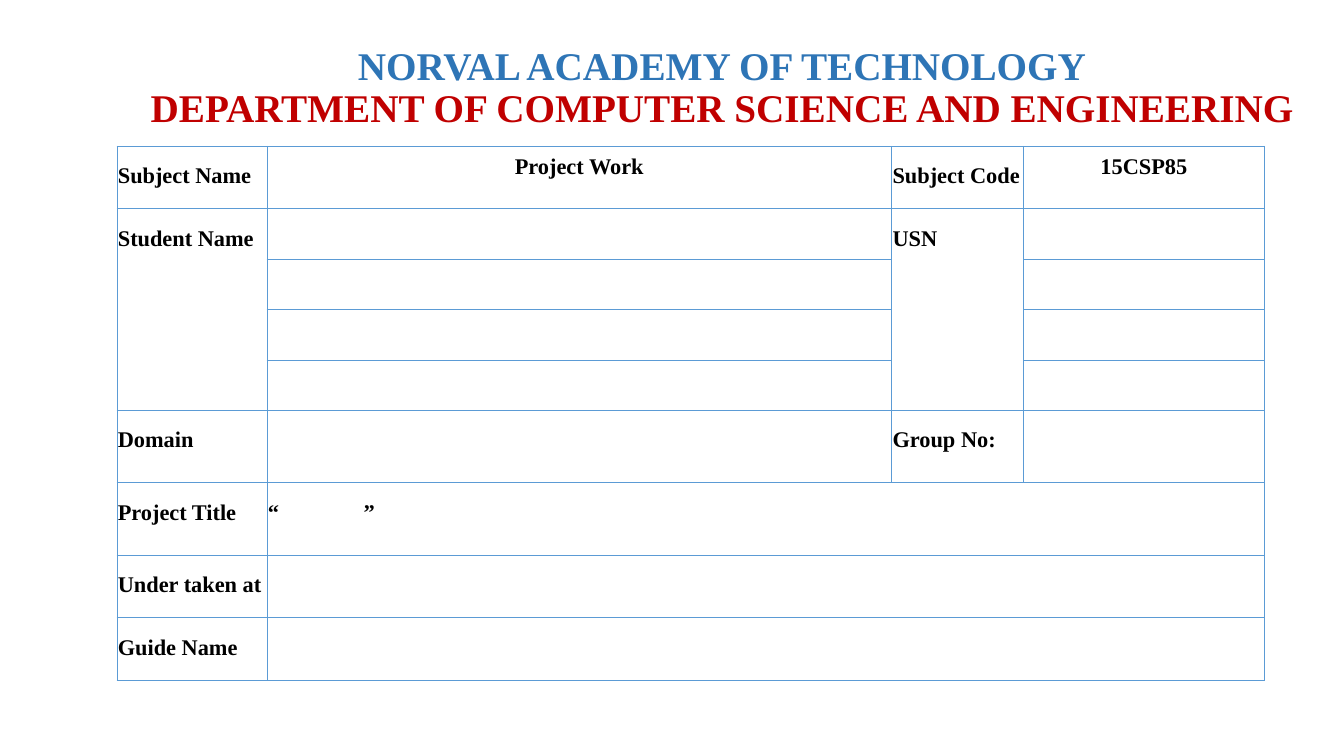
from dataclasses import dataclass
from typing import Any

from lxml.etree import SubElement as Sub
from pptx import Presentation as Deck
from pptx.dml.color import RGBColor as Color
from pptx.enum.text import MSO_ANCHOR as Anchor, PP_ALIGN as Align
from pptx.oxml.ns import qn
from pptx.util import Inches, Pt

STEP = Inches(0.1)
BLUE = Color(0x2E, 0x75, 0xB6)
RED = Color(0xC0, 0x00, 0x00)
BLACK = Color(0x00, 0x00, 0x00)
RULE = Color(0x5B, 0x9B, 0xD5)

COLS = (14.9, 62, 13.1, 23.9)
ROWS = (6.2, 5, 5, 5, 5, 7.2, 7.2, 6.2, 6.2)
LEFT = 11.6
GAP = 9.5

CELL = {"margin_left": Inches(0.01), "margin_right": Inches(0.01),
        "margin_top": Inches(0.05), "margin_bottom": Inches(0.05)}
LABEL = {"alignment": Align.LEFT, "line_spacing": 1.5, "space_after": Pt(10)}
VALUE = {"alignment": Align.CENTER, "line_spacing": 1.15, "space_after": Pt(10)}
QUOTE = LABEL | {"alignment": Align.JUSTIFY}
HEAD = {"alignment": Align.CENTER, "line_spacing": 0.9}


@dataclass
class Entry:
    row: int
    col: int
    text: str
    form: dict[str, Any]
    down: int = 1


@dataclass
class Line:
    text: str
    color: Color


ENTRIES = (
    Entry(0, 0, "Subject Name", LABEL),
    Entry(0, 1, "Project Work", VALUE),
    Entry(0, 2, "Subject Code", LABEL),
    Entry(0, 3, "15CSP85", VALUE),
    Entry(1, 0, "Student Name", LABEL, down=4),
    Entry(1, 2, "USN", LABEL, down=4),
    Entry(5, 0, "Domain", LABEL),
    Entry(5, 2, "Group No:", LABEL),
    Entry(6, 0, "Project Title", LABEL),
    Entry(6, 1, "“\t”", QUOTE),
    Entry(7, 0, "Under taken at", LABEL),
    Entry(8, 0, "Guide Name", LABEL),
)
WIDE = (6, 7, 8)
LINES = (
    Line("NORVAL ACADEMY OF TECHNOLOGY", BLUE),
    Line("DEPARTMENT OF COMPUTER SCIENCE AND ENGINEERING", RED),
)


def grid(steps: float) -> int:
    return round(steps * STEP)


def put(thing: Any, form: dict[str, Any]) -> None:
    for name, value in form.items():
        setattr(thing, name, value)


def write(para: Any, text: str, size: int, color: Color) -> None:
    run = para.add_run()
    run.text = text
    put(run.font, {"name": "Times New Roman", "size": Pt(size), "bold": True})
    run.font.color.rgb = color


def border(cell: Any) -> None:
    props = cell._tc.get_or_add_tcPr()
    for place, side in enumerate(("lnL", "lnR", "lnT", "lnB")):
        edge = Sub(props, qn(f"a:{side}"), w=str(Pt(0.45)))
        fill = Sub(edge, qn("a:solidFill"))
        Sub(fill, qn("a:srgbClr"), val=str(RULE))
        props.insert(place, edge)


def title(slide: Any) -> None:
    box = slide.shapes.add_textbox(grid(LEFT), grid(1.9), grid(120.1), grid(11.6))
    put(box.text_frame, {"word_wrap": True, "vertical_anchor": Anchor.BOTTOM})
    para = box.text_frame.paragraphs[0]
    put(para, HEAD)
    for index, line in enumerate(LINES):
        if index:
            para.add_line_break()
        write(para, line.text, 28, line.color)


def table(slide: Any) -> None:
    frame = slide.shapes.add_table(len(ROWS), len(COLS), grid(LEFT), grid(14.5),
                                   grid(sum(COLS)), grid(sum(ROWS)))
    form = frame.table
    put(form, {"first_row": False, "horz_banding": False})
    for col, width in zip(form.columns, COLS):
        col.width = grid(width)
    for row, height in zip(form.rows, ROWS):
        row.height = grid(height)
    for cell in form.iter_cells():
        put(cell, CELL)
        cell.fill.background()
        border(cell)
    for row in WIDE:
        form.cell(row, 1).merge(form.cell(row, len(COLS) - 1))
    for entry in ENTRIES:
        cell = form.cell(entry.row, entry.col)
        if entry.down > 1:
            cell.merge(form.cell(entry.row + entry.down - 1, entry.col))
        para = cell.text_frame.paragraphs[0]
        put(para, entry.form)
        if "\t" in entry.text:
            stops = Sub(para._p.get_or_add_pPr(), qn("a:tabLst"))
            Sub(stops, qn("a:tab"), pos=str(grid(GAP)), algn="l")
        write(para, entry.text, 16, BLACK)


def main() -> None:
    deck = Deck()
    put(deck, {"slide_width": grid(133.4), "slide_height": grid(75)})
    slide = deck.slides.add_slide(deck.slide_layouts[6])
    title(slide)
    table(slide)
    deck.save("out.pptx")


if __name__ == "__main__":
    main()
